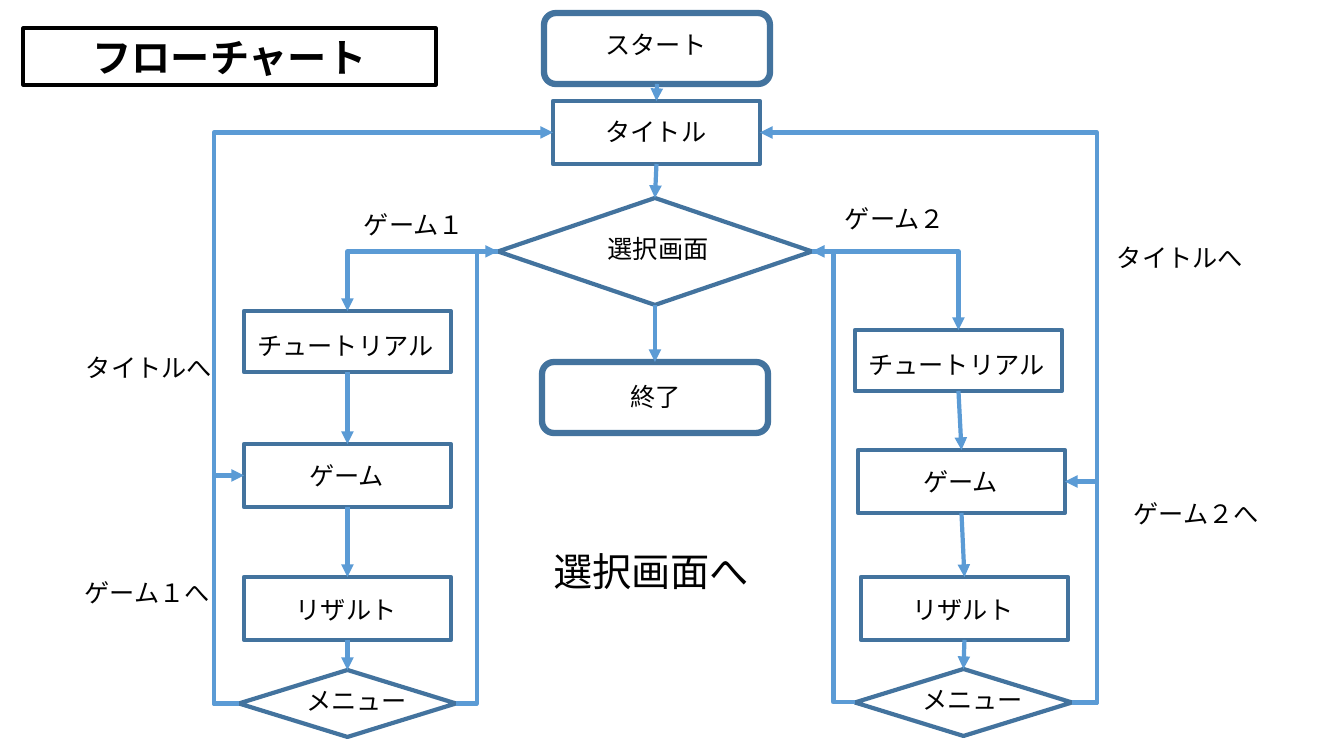
from collections import namedtuple
from dataclasses import dataclass

from lxml import etree
from pptx import Presentation
from pptx.dml.color import RGBColor
from pptx.enum.shapes import MSO_CONNECTOR, MSO_SHAPE
from pptx.enum.text import MSO_ANCHOR, PP_ALIGN
from pptx.oxml.ns import qn
from pptx.util import Pt

PROCESS = MSO_SHAPE.FLOWCHART_PROCESS
DECISION = MSO_SHAPE.FLOWCHART_DECISION
TERMINAL = MSO_SHAPE.FLOWCHART_ALTERNATE_PROCESS
STRAIGHT, ELBOW = MSO_CONNECTOR.STRAIGHT, MSO_CONNECTOR.ELBOW
CENTER, TOP_ANCHOR = PP_ALIGN.CENTER, MSO_ANCHOR.TOP
MIDDLE_ANCHOR = MSO_ANCHOR.MIDDLE
TOP, LEFT, BOTTOM, RIGHT = range(4)
EMU_PER_PX = 914400 / 100.8
LABEL_HEIGHT = 40

Box = namedtuple("Box", "x y w h")
Step = namedtuple("Step", "text kind width height label_dx label_dy label_width")


@dataclass(frozen=True)
class Theme:
    font: str = "Noto Sans CJK JP"
    ink: RGBColor = RGBColor(0, 0, 0)
    outline: RGBColor = RGBColor(0x43, 0x73, 0x9E)
    arrow: RGBColor = RGBColor(0x5B, 0x9B, 0xD5)
    body_size: float = 18
    large_size: float = 28
    line_width: float = 3
    terminal_width: float = 4.5
    frame_width: float = 2.25


THEME = Theme()

BRANCH_STEPS = (
    Step("チュートリアル", PROCESS, 207, 61, -3, 14, 209),
    Step("ゲーム", PROCESS, 207, 63, -2, 11, 209),
    Step("リザルト", PROCESS, 207, 63, 8, 12, 188),
    Step("メニュー", DECISION, 217, 67, 50, 10, 135),
)
MAIN_STEPS = (
    Step("スタート", TERMINAL, 226, 71, 36, 11, 152),
    Step("タイトル", PROCESS, 207, 63, 27, 10, 152),
    Step("選択画面", DECISION, 314, 107, 66, 30, 188),
    Step("終了", TERMINAL, 226, 71, 38, 14, 152),
)


def px(value):
    return round(value * EMU_PER_PX)


def emu(box):
    return [px(value) for value in box]


def write(frame, text, size, bold=False):
    frame.text = text
    paragraph = frame.paragraphs[0]
    paragraph.alignment = CENTER
    paragraph.font.size = Pt(size)
    paragraph.font.bold = bold
    paragraph.font.color.rgb = THEME.ink
    paragraph.font.name = THEME.font
    latin = next(paragraph._p.iter(qn("a:latin")))
    east_asian = etree.Element(qn("a:ea"), typeface=THEME.font)
    latin.addnext(east_asian)


def add_label(slide, text, box, size=THEME.body_size):
    label = slide.shapes.add_textbox(*emu(box))
    label.text_frame.word_wrap = True
    label.text_frame.vertical_anchor = TOP_ANCHOR
    write(label.text_frame, text, size)


def add_step(slide, step, x, y):
    node = slide.shapes.add_shape(step.kind, *emu((x, y, step.width, step.height)))
    node.shadow.inherit = False
    node.fill.background()
    node.line.color.rgb = THEME.outline
    terminal = step.kind == TERMINAL
    node.line.width = Pt(THEME.terminal_width if terminal else THEME.line_width)
    add_label(slide, step.text, Box(x + step.label_dx, y + step.label_dy,
                                    step.label_width, LABEL_HEIGHT))
    return node


def add_arrow(slide, source, source_side, target, target_side,
              kind=STRAIGHT, lane=None, corner=False):
    arrow = slide.shapes.add_connector(kind, 0, 0, 0, 0)
    arrow.begin_connect(source, source_side)
    arrow.end_connect(target, target_side)
    arrow.line.color.rgb = THEME.arrow
    arrow.line.width = Pt(THEME.line_width)
    properties = arrow._element.spPr
    line = properties.find(qn("a:ln"))
    etree.SubElement(line, qn("a:tailEnd"), type="triangle")
    etree.SubElement(properties, qn("a:effectLst"))
    geometry = properties.find(qn("a:prstGeom"))
    if corner:
        geometry.set("prst", "bentConnector2")
    if lane is not None:
        share = (px(lane) - arrow.begin_x) / (arrow.end_x - arrow.begin_x)
        guides = geometry.find(qn("a:avLst"))
        etree.SubElement(guides, qn("a:gd"), name="adj1",
                         fmla=f"val {round(share * 100000)}")


def chart_title(slide, box):
    title = slide.shapes.title
    title.left, title.top, title.width, title.height = emu(box)
    title.line.color.rgb = THEME.ink
    title.line.width = Pt(THEME.frame_width)
    title.text_frame.vertical_anchor = MIDDLE_ANCHOR
    write(title.text_frame, "フローチャート", THEME.large_size, bold=True)


def main_flow(slide, box):
    offsets = ((46, 0), (55, 88), (0, 185), (44, 349))
    nodes = [add_step(slide, step, box.x + dx, box.y + dy)
             for step, (dx, dy) in zip(MAIN_STEPS, offsets)]
    for source, target in zip(nodes, nodes[1:]):
        add_arrow(slide, source, BOTTOM, target, TOP)
    add_label(slide, "選択画面へ", Box(box.x + 38, box.y + 529, 230, 57),
              THEME.large_size)
    return nodes[1], nodes[2]


def game_branch(slide, box, offsets, outer, inner, lane_dx, labels,
                title_screen, selection):
    nodes = [add_step(slide, step, box.x + dx, box.y + dy)
             for step, (dx, dy) in zip(BRANCH_STEPS, offsets)]
    tutorial, game, _, menu = nodes
    for source, target in zip(nodes, nodes[1:]):
        add_arrow(slide, source, BOTTOM, target, TOP)
    add_arrow(slide, selection, outer, tutorial, TOP, ELBOW, corner=True)
    add_arrow(slide, menu, inner, selection, outer, ELBOW)
    for target in (game, title_screen):
        add_arrow(slide, menu, outer, target, outer, ELBOW, box.x + lane_dx)
    for text, dx, dy, width in labels:
        add_label(slide, text, Box(box.x + dx, box.y + dy, width, LABEL_HEIGHT))


def flowchart_slide(deck):
    slide = deck.slides.add_slide(deck.slide_layouts[5])
    chart_title(slide, Box(23, 28, 413, 57))
    title_screen, selection = main_flow(slide, Box(498, 13, 314, 586))
    game_branch(
        slide, Box(239, 311, 217, 426),
        ((5, 0), (5, 133), (5, 266), (0, 359)), LEFT, RIGHT, -25,
        (("ゲーム１", 107, -107, 136), ("タイトルへ", -184, 36, 188),
         ("ゲーム１へ", -186, 261, 188)),
        title_screen, selection)
    game_branch(
        slide, Box(855, 330, 217, 406),
        ((0, 0), (3, 120), (6, 247), (0, 339)), RIGHT, LEFT, 242,
        (("ゲーム２", -28, -132, 136), ("タイトルへ", 231, -93, 188),
         ("ゲーム２へ", 247, 163, 188)),
        title_screen, selection)


deck = Presentation()
deck.slide_width, deck.slide_height = px(1344), px(756)
flowchart_slide(deck)
deck.save("out.pptx")
